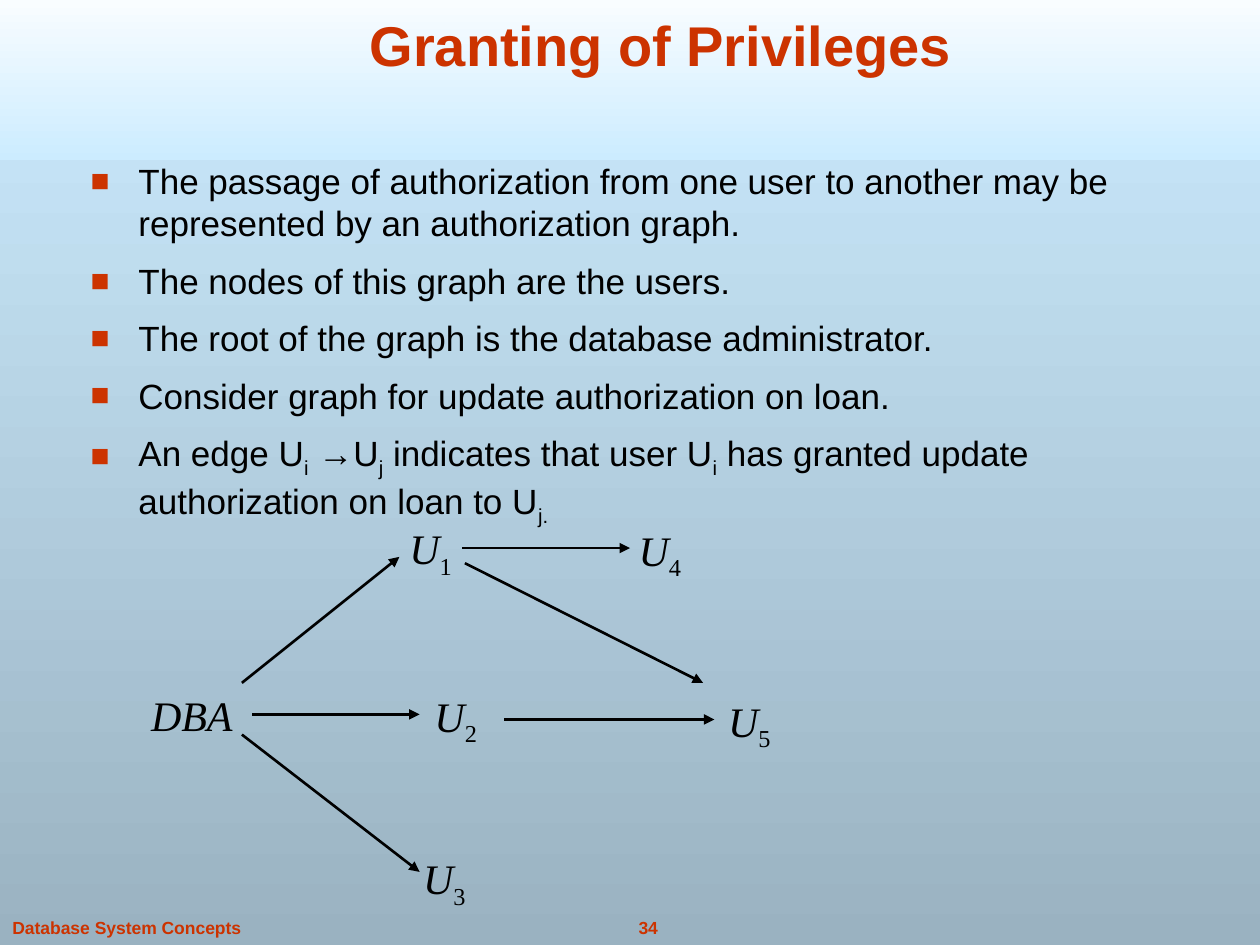
"""Build the slide on granting of privileges with its authorization graph."""
from lxml.etree import SubElement
from pptx import Presentation
from pptx.dml.color import RGBColor
from pptx.enum.shapes import MSO_CONNECTOR, MSO_SHAPE
from pptx.enum.text import MSO_ANCHOR, MSO_AUTO_SIZE, PP_ALIGN
from pptx.oxml.ns import qn
from pptx.util import Inches, Pt

RED, BLACK = "CC3300", "000000"
SUBSCRIPT_MARK = "|"
TITLE = "Granting of Privileges"
BULLETS = [
    "The passage of authorization from one user to another may be represented by an authorization graph.",
    "The nodes of this graph are the users.",
    "The root of the graph is the database administrator.",
    "Consider graph for update authorization on loan.",
    "An edge U|i| →U|j| indicates that user U|i| has granted update authorization on loan to U|j.",
]
NODES = [
    ("U|1", 3.15, 4.1, 0.54, 0.56),
    ("U|4", 4.97, 4.11, 0.54, 0.56),
    ("U|2", 3.35, 5.43, 0.54, 0.56),
    ("U|5", 5.68, 5.47, 0.54, 0.56),
    ("U|3", 3.26, 6.72, 0.54, 0.56),
    ("DBA", 1.1, 5.42, 0.85, 0.5),
]
EDGES = [
    (1.92, 5.42, 3.17, 4.42),
    (3.67, 4.35, 5, 4.35),
    (2, 5.67, 3.33, 5.67),
    (1.92, 5.83, 3.33, 6.92),
    (4, 5.71, 5.67, 5.71),
    (3.69, 4.47, 5.58, 5.42),
]
FOOTERS = [
    ("34", 4.71, 7.23, 0.87, 0.27, PP_ALIGN.CENTER),
    ("Database System Concepts", 0, 7.23, 2.03, 0.27, PP_ALIGN.LEFT),
]


def color(value):
    return RGBColor.from_string(value)


def set_gradient(fill, top, bottom):
    fill.gradient()
    fill.gradient_angle = 270
    for stop, value in zip(fill.gradient_stops, (top, bottom)):
        stop.color.rgb = color(value)


def set_font(paragraph, name, size, value, bold=False):
    font = paragraph.font
    font.name, font.size, font.bold = name, Pt(size), bold
    font.color.rgb = color(value)


def add_runs(paragraph, text, italic=False):
    for index, piece in enumerate(text.split(SUBSCRIPT_MARK)):
        run = paragraph.add_run()
        run.text = piece
        subscript = index % 2 == 1
        if subscript:
            run.font._element.set("baseline", "-25000")
        if italic:
            run.font.italic = not subscript


def add_text_box(slide, box, wrap=False):
    frame = slide.shapes.add_textbox(*map(Inches, box)).text_frame
    frame.word_wrap = wrap
    frame.auto_size = MSO_AUTO_SIZE.NONE if wrap else MSO_AUTO_SIZE.SHAPE_TO_FIT_TEXT
    return frame


def add_bullet(paragraph):
    properties = paragraph._p.get_or_add_pPr()
    properties.set("marL", str(Inches(0.38)))
    properties.set("indent", str(-Inches(0.38)))
    bullet_color = SubElement(properties, qn("a:buClr"))
    SubElement(bullet_color, qn("a:srgbClr"), val=RED)
    SubElement(properties, qn("a:buSzPct"), val="90000")
    SubElement(properties, qn("a:buFont"), typeface="Arial")
    SubElement(properties, qn("a:buChar"), char="■")


def add_band(slide):
    band = slide.shapes.add_shape(MSO_SHAPE.RECTANGLE, *map(Inches, (0, -0.17, 10, 1.44)))
    band.shadow.inherit = False
    band.line.fill.background()
    set_gradient(band.fill, "FFFFFF", "CCECFF")
    slide.shapes._spTree.insert(2, band._element)


def add_title(slide):
    title = slide.shapes.title
    title.left, title.top, title.width, title.height = map(Inches, (0.83, 0, 8.83, 0.67))
    frame = title.text_frame
    frame.text = TITLE
    frame.auto_size = MSO_AUTO_SIZE.NONE
    frame.vertical_anchor = MSO_ANCHOR.BOTTOM
    paragraph = frame.paragraphs[0]
    paragraph.alignment = PP_ALIGN.CENTER
    set_font(paragraph, "Arial", 32, RED, bold=True)


def add_body(slide):
    frame = add_text_box(slide, (0.62, 1.22, 8.58, 5.33), wrap=True)
    for index, text in enumerate(BULLETS):
        paragraph = frame.add_paragraph() if index else frame.paragraphs[0]
        paragraph.space_before = Pt(8.8 if index else 0)
        add_bullet(paragraph)
        set_font(paragraph, "Arial", 20, BLACK)
        add_runs(paragraph, text)


def add_edge(slide, ends):
    edge = slide.shapes.add_connector(MSO_CONNECTOR.STRAIGHT, *map(Inches, ends))
    edge.line.color.rgb = color(BLACK)
    edge.line.width = Pt(1.5)
    SubElement(edge.line._get_or_add_ln(), qn("a:tailEnd"), type="triangle")
    SubElement(edge._element.spPr, qn("a:effectLst"))


def add_node(slide, text, *box):
    paragraph = add_text_box(slide, box).paragraphs[0]
    set_font(paragraph, "Times New Roman", 24, BLACK)
    add_runs(paragraph, text, italic=True)


def add_footer(slide, text, *box_and_alignment):
    *box, alignment = box_and_alignment
    paragraph = add_text_box(slide, box).paragraphs[0]
    paragraph.alignment = alignment
    set_font(paragraph, "Arial", 10, RED, bold=True)
    add_runs(paragraph, text)


def main():
    presentation = Presentation()
    presentation.slide_width, presentation.slide_height = Inches(10), Inches(7.5)
    slide = presentation.slides.add_slide(presentation.slide_layouts[5])
    set_gradient(slide.background.fill, "CCECFF", "9AB2C1")
    add_band(slide)
    for footer in FOOTERS:
        add_footer(slide, *footer)
    add_title(slide)
    add_body(slide)
    for edge in EDGES:
        add_edge(slide, edge)
    for node in NODES:
        add_node(slide, *node)
    presentation.save("out.pptx")


if __name__ == "__main__":
    main()
